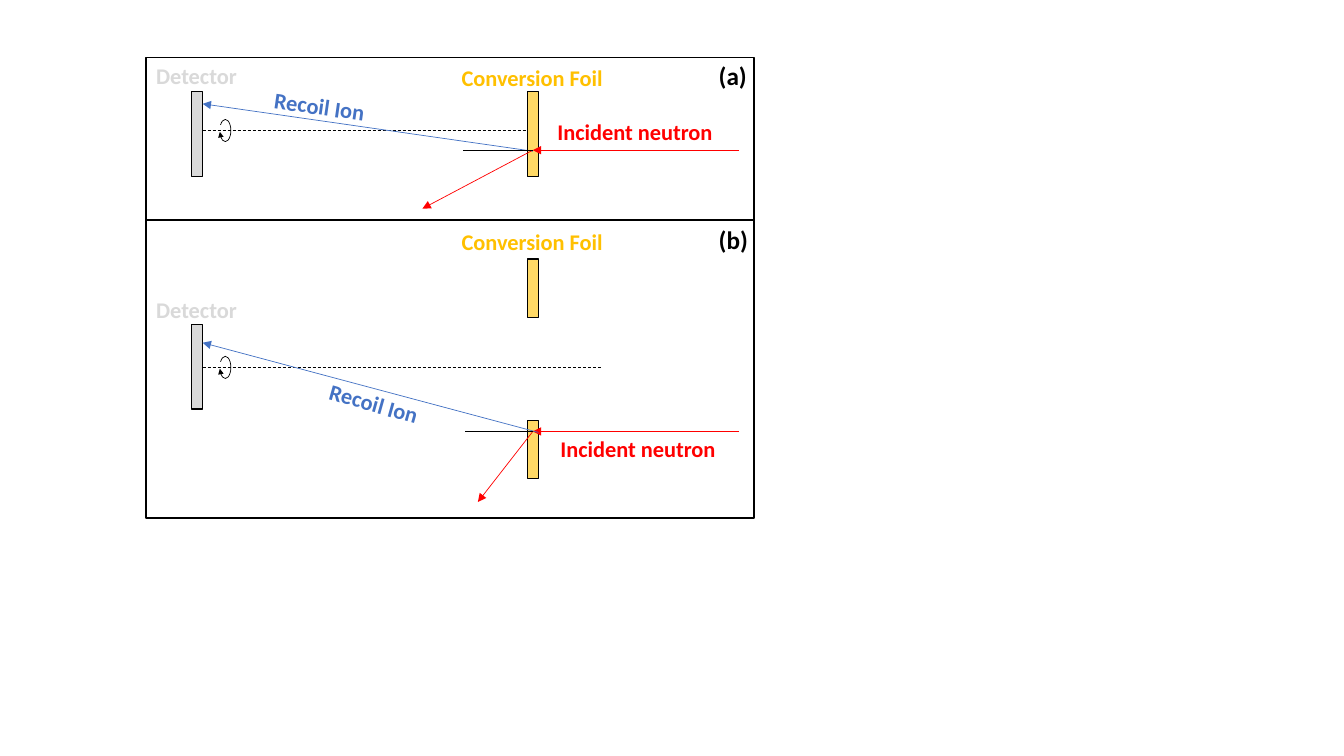
from pptx import Presentation
from pptx.dml.color import RGBColor
from pptx.enum.dml import MSO_LINE
from pptx.enum.shapes import MSO_CONNECTOR, MSO_SHAPE
from pptx.enum.text import MSO_AUTO_SIZE
from pptx.oxml.ns import qn
from pptx.util import Inches, Pt
from lxml import etree

RECT, ARC = MSO_SHAPE.RECTANGLE, MSO_SHAPE.ARC
STRAIGHT = MSO_CONNECTOR.STRAIGHT
DASH = MSO_LINE.DASH
FIT = MSO_AUTO_SIZE.SHAPE_TO_FIT_TEXT

BLACK, RED, BLUE = "000000", "FF0000", "4472C4"
GREY, GOLD, FOIL = "D9D9D9", "FFC000", "FFD966"

ROWS = 75
FRAME_X, FRAME_W = 14.5, 60.3
DETECTOR_X, FOIL_X, PLATE_W = 19, 52.3, 1.1
DETECTOR_H = 8.4
FACE_X = DETECTOR_X + PLATE_W
HIT_X = FOIL_X + PLATE_W / 2
BEAM_X = 73.3


def rgb(value):
    return RGBColor.from_string(value)


class Diagram:
    font = "Calibri"

    def __init__(self, prs):
        self.s = prs.slides.add_slide(prs.slide_layouts[6])
        self.unit = prs.slide_height / ROWS

    def grid(self, *cells):
        return [round(cell * self.unit) for cell in cells]

    def stroke(self, line, color, width):
        line.color.rgb = rgb(color)
        line.width = Pt(width)

    def arrowhead(self, line, size="med"):
        etree.SubElement(line._get_or_add_ln(), qn("a:tailEnd"),
                         type="triangle", w=size, len=size)

    def shape(self, kind, x, y, w, h, fill=None, width=1):
        sp = self.s.shapes.add_shape(kind, *self.grid(x, y, w, h))
        sp.shadow.inherit = False
        if fill:
            sp.fill.solid()
            sp.fill.fore_color.rgb = rgb(fill)
        else:
            sp.fill.background()
        self.stroke(sp.line, BLACK, width)
        return sp

    def rotation_arc(self, axis_y):
        sp = self.shape(ARC, 21.8, axis_y - 1.05, 1.1, 2.2, width=0.5)
        sp.adjustments[0], sp.adjustments[1] = 137.84, 100.02
        self.arrowhead(sp.line, "sm")

    def line(self, start, end, color=BLACK, dash=None, arrow=False):
        cx = self.s.shapes.add_connector(STRAIGHT, *self.grid(*start, *end))
        self.stroke(cx.line, color, 0.5)
        if dash:
            cx.line.dash_style = dash
        if arrow:
            self.arrowhead(cx.line)
        etree.SubElement(cx._element.spPr, qn("a:effectLst"))

    def label(self, text, x, y, w, color, size=16, h=3.7, angle=0):
        sp = self.s.shapes.add_textbox(*self.grid(x, y, w, h))
        sp.rotation = angle
        tf = sp.text_frame
        tf.word_wrap = False
        tf.auto_size = FIT
        tf.text = text
        font = tf.paragraphs[0].runs[0].font
        font.name, font.size, font.bold = self.font, Pt(size), True
        font.color.rgb = rgb(color)

    def panel(self, tag, top, height, tag_y, detector_y, detector_label_y,
              foil_label_y, foils, axis_y, axis_end, beam_y, ion_start,
              ion_y, scatter, stub_x, neutron_label, ion_label, ion_angle):
        self.shape(RECT, DETECTOR_X, detector_y, PLATE_W, DETECTOR_H, GREY)
        self.line((FACE_X, axis_y), (axis_end, axis_y), dash=DASH)
        for foil_y, foil_h in foils:
            self.shape(RECT, FOIL_X, foil_y, PLATE_W, foil_h, FOIL)
        hit = (HIT_X, beam_y)
        self.line((BEAM_X, beam_y), hit, RED, arrow=True)
        self.line((ion_start, beam_y + 0.1), (FACE_X, ion_y), BLUE, arrow=True)
        self.line(hit, scatter, RED, arrow=True)
        self.rotation_arc(axis_y)
        self.label("Incident neutron", *neutron_label, 17.6, RED)
        self.label("Recoil Ion", *ion_label, 11.1, BLUE, angle=ion_angle)
        self.label("Conversion Foil", 44.8, foil_label_y, 16.2, GOLD)
        self.label("Detector", FRAME_X, detector_label_y, 10.1, GREY)
        self.shape(RECT, FRAME_X, top, FRAME_W, height)
        self.label(tag, 70.3, tag_y, 5.2, BLACK, size=18, h=4)
        self.line(hit, (stub_x, beam_y))


prs = Presentation()
prs.slide_width, prs.slide_height = Inches(13.33), Inches(7.5)
diagram = Diagram(prs)

diagram.panel(
    "(a)", top=5.7, height=16.2, tag_y=5.5,
    detector_y=9.1, detector_label_y=5.7,
    foil_label_y=5.9, foils=[(9.1, DETECTOR_H)],
    axis_y=12.9, axis_end=HIT_X, beam_y=14.9,
    ion_start=HIT_X, ion_y=10.3, scatter=(41.9, 20.7), stub_x=45.9,
    neutron_label=(54.3, 11.2), ion_label=(26.2, 8.7), ion_angle=8.1)

diagram.panel(
    "(b)", top=21.8, height=29.6, tag_y=21.8,
    detector_y=32.2, detector_label_y=28.9,
    foil_label_y=22.1, foils=[(25.7, 5.8), (41.7, 5.8)],
    axis_y=36.4, axis_end=59.7, beam_y=42.8,
    ion_start=FOIL_X + PLATE_W, ion_y=34, scatter=(47.4, 49.8), stub_x=46.1,
    neutron_label=(54.6, 42.7), ion_label=(31.6, 38.2), ion_angle=15.7)

prs.save("out.pptx")
